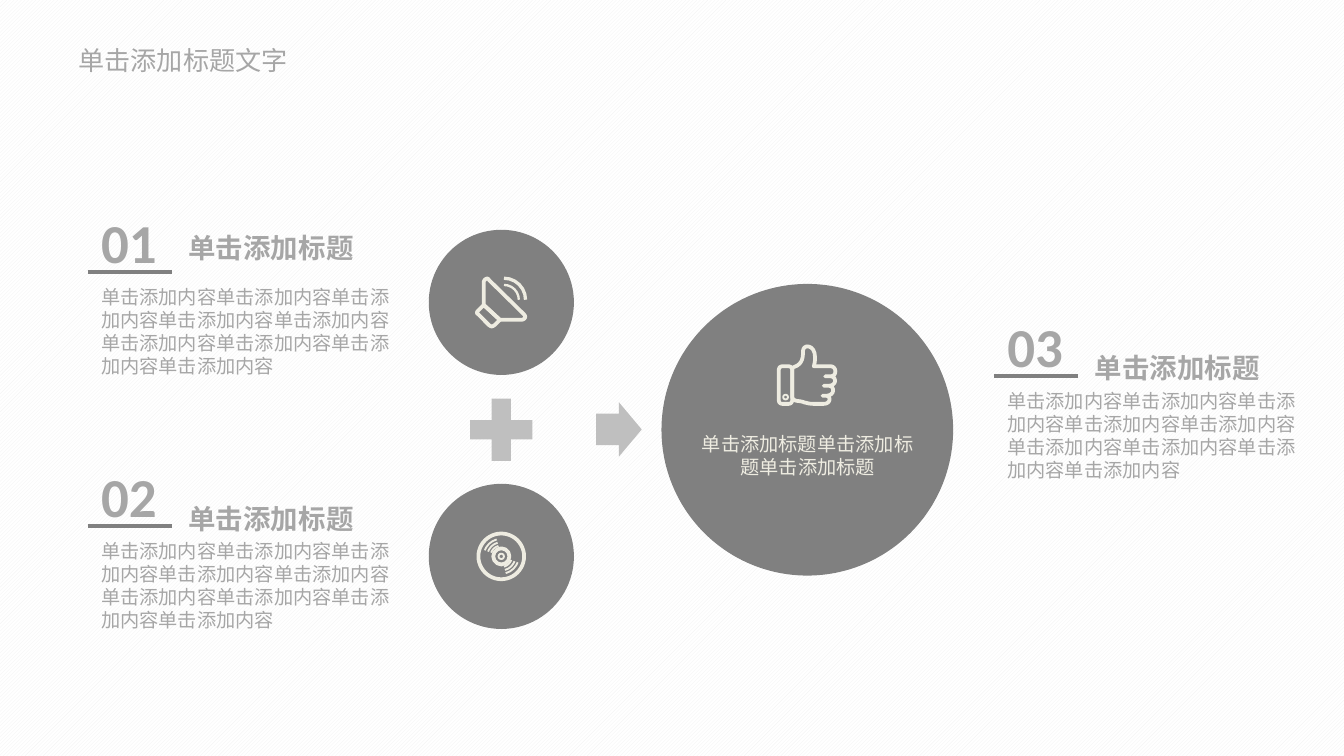
from dataclasses import dataclass

from pptx import Presentation
from pptx import util as u
from pptx.dml.color import RGBColor
from pptx.enum import dml, shapes, text
from pptx.oxml.ns import qn
from lxml import etree

COLS, ROWS = 100, 56.25  # every length below counts cells of this grid
CELL = u.Inches(0.1)
FINE = 100  # steps to a cell in the outlines
HUES = {"disc": "808080", "sign": "BFBFBF", "text": "A6A6A6", "icon": "EEECE1",
        "back": "FFFFFF", "weave": "F2F2F2"}
LATIN, HAN = "Calibri", "Noto Sans CJK SC"
KIND = shapes.MSO_SHAPE


@dataclass
class Item:
    num: str
    x: float
    y: float
    drop: float  # from the top of the number to the top of the heading


@dataclass
class Solid:
    kind: KIND
    x: float
    y: float
    w: float
    h: float
    hue: str
    adj: tuple = ()


ITEMS = [Item("01", 6.53, 15.03, 1.7), Item("02", 6.53, 33.93, 2.9),
         Item("03", 73.96, 22.76, 2.9)]
SOLIDS = [
    Solid(KIND.OVAL, 31.9, 17.1, 10.8, 10.8, "disc"),
    Solid(KIND.MATH_PLUS, 34.15, 28.83, 6.3, 6.3, "sign", (0.23,)),
    Solid(KIND.OVAL, 31.9, 36, 10.8, 10.8, "disc"),
    Solid(KIND.RIGHT_ARROW, 44.35, 29.93, 3.4, 4.05, "sign", (0.58, 0.5)),
    Solid(KIND.OVAL, 49.22, 21.13, 21.7, 21.7, "disc"),
]
# Outlines: a pair is a corner, six numbers are a cubic curve.
CONE = [(36, 22.7), (36, 21), (36, 20.8, 36.3, 20.6, 36.4, 20.85), (39, 23.4),
        (39.2, 23.6, 39, 23.8, 38.8, 23.8), (37.2, 23.8)]
HORN = [(36, 22.7), (35.6, 23.1), (35.45, 23.25, 35.45, 23.3, 35.6, 23.4),
        (36.4, 24.2), (36.6, 24.35, 36.65, 24.3, 36.8, 24.2), (37.2, 23.8)]
THUMB = [(58.95, 27.55), (58.95, 27.4, 59, 27.35, 59.1, 27.3),
         (59.75, 27.1, 59.75, 26.5, 59.75, 26.1),
         (59.75, 25.6, 60.65, 25.6, 60.65, 26.6),
         (60.65, 26.9, 60.6, 27.1, 60.55, 27.25), (61.8, 27.25),
         (62.25, 27.25, 62.3, 27.95, 61.85, 28), (61.4, 28), (61.85, 28),
         (62.3, 28.1, 62.2, 28.7, 61.7, 28.7), (61.3, 28.7), (61.7, 28.7),
         (62.15, 28.8, 62.1, 29.4, 61.5, 29.45), (61.2, 29.45), (61.5, 29.45),
         (61.85, 29.5, 61.8, 30.05, 61.3, 30.05), (60.5, 30.05),
         (60.1, 30.05, 59.8, 29.9, 59.5, 29.85),
         (59.1, 29.85, 58.95, 29.7, 58.95, 29.5)]


def cells(*nums: float) -> list[u.Emu]:
    return [u.Emu(round(n * CELL)) for n in nums]


def tint(name: str) -> RGBColor:
    return RGBColor.from_string(HUES[name])


def solid(page, part: Solid) -> None:
    shape = page.shapes.add_shape(part.kind, *cells(part.x, part.y, part.w, part.h))
    shape.shadow.inherit = False
    for i, val in enumerate(part.adj):
        shape.adjustments[i] = val
    shape.fill.solid()
    shape.fill.fore_color.rgb = tint(part.hue)
    shape.line.fill.background()


def stroke(shape, width: float) -> None:
    """Leave only an outline in the icon colour."""
    shape.shadow.inherit = False
    shape.fill.background()
    shape.line.color.rgb = tint("icon")
    shape.line.width = u.Pt(width)


def ring(page, x: float, y: float, rad: float, width: float, span=None) -> None:
    """Draw a circle about (x, y), or the arc between the two angles of span."""
    kind = KIND.ARC if span else KIND.OVAL
    shape = page.shapes.add_shape(kind, *cells(x - rad, y - rad, 2 * rad, 2 * rad))
    for i, deg in enumerate(span or ()):
        shape.adjustments[i] = deg * 0.6
    stroke(shape, width)


def trace(page, steps: list[tuple]) -> None:
    pts = [steps[0]]
    for step in steps[1:]:
        if len(step) == 2:
            pts.append(step)
            continue
        ends = [pts[-1], step[:2], step[2:4], step[4:]]
        for t in (k / 8 for k in range(1, 9)):
            mix = ((1 - t) ** 3, 3 * t * (1 - t) ** 2, 3 * t * t * (1 - t), t ** 3)
            pts.append(tuple(sum(m * p[a] for m, p in zip(mix, ends)) for a in (0, 1)))
    grid = [(round(x * FINE), round(y * FINE)) for x, y in pts]
    path = page.shapes.build_freeform(*grid[0], scale=CELL / FINE)
    path.add_line_segments(grid[1:], close=True)
    stroke(path.convert_to_shape(), 2)


def label(page, box: tuple, words: str, size: float, hue="text", bold=False,
          wrap=False, mid=False, face=LATIN, inset=None) -> None:
    frame = page.shapes.add_textbox(*cells(*box)).text_frame
    frame.word_wrap = wrap
    frame.auto_size = text.MSO_AUTO_SIZE.SHAPE_TO_FIT_TEXT
    if inset:
        frame.margin_left = frame.margin_right = u.Inches(inset[0])
        frame.margin_top = frame.margin_bottom = u.Inches(inset[1])
    para = frame.paragraphs[0]
    para.text = words
    para.alignment = text.PP_ALIGN.CENTER if mid else text.PP_ALIGN.LEFT
    font = para.font
    font.name, font.size, font.bold = face, u.Pt(size), bold
    font.color.rgb = tint(hue)


def entry(page, item: Item) -> None:
    x, y = item.x, item.y
    label(page, (x, y, 6.2, 6), item.num, 29.4, bold=True)
    rule = page.shapes.add_connector(shapes.MSO_CONNECTOR.STRAIGHT,
                                     *cells(x, y + 5.2, x + 6.25, y + 5.2))
    rule.line.color.rgb = tint("disc")
    rule.line.width = u.Pt(2)
    etree.SubElement(rule._element.spPr, qn("a:effectLst"))
    label(page, (x + 6.5, y + item.drop, 14.4, 3.5), "单击添加标题", 14.7, bold=True)
    label(page, (x, y + 5.7, 24.5, 7.9), "单击添加内容" * 9, 10.3, wrap=True)


def speaker(page) -> None:
    trace(page, CONE)
    trace(page, HORN)
    for rad, width in ((1.1, 1.25), (1.6, 1.75)):
        ring(page, 37.5, 22.3, rad, width, (270, 0))


def record(page) -> None:
    for rad, width in ((1.7, 2), (0.6, 2), (0.2, 1)):
        ring(page, 37.3, 41.4, rad, width)
    for rad in (0.8, 1.05, 1.3):
        for turn in (20, 200):
            ring(page, 37.3, 41.4, rad, 1, (turn, turn + 55))


def thumb(page) -> None:
    trace(page, THUMB)
    cuff = page.shapes.add_shape(KIND.ROUNDED_RECTANGLE, *cells(57.95, 27.25, 1, 2.8))
    cuff.adjustments[0] = 0.25
    stroke(cuff, 2)
    ring(page, 58.45, 29.55, 0.18, 1)


def main() -> None:
    deck = Presentation()
    deck.slide_width, deck.slide_height = cells(COLS, ROWS)
    page = deck.slides.add_slide(deck.slide_layouts[6])
    fill = page.background.fill
    fill.patterned()
    fill.pattern = dml.MSO_PATTERN.LIGHT_UPWARD_DIAGONAL
    fill.fore_color.rgb, fill.back_color.rgb = tint("weave"), tint("back")
    for part in SOLIDS:
        solid(page, part)
    record(page)
    thumb(page)
    speaker(page)
    label(page, (51, 31.7, 18.2, 4.5), "单击添加标题" * 3, 10.3, "icon",
          wrap=True, mid=True)
    for item in ITEMS:
        entry(page, item)
    label(page, (5.13, 2.9, 17.2, 3.1), "单击添加标题文字", 14, face=HAN,
          inset=(0.07, 0.04))
    deck.save("out.pptx")


if __name__ == "__main__":
    main()
